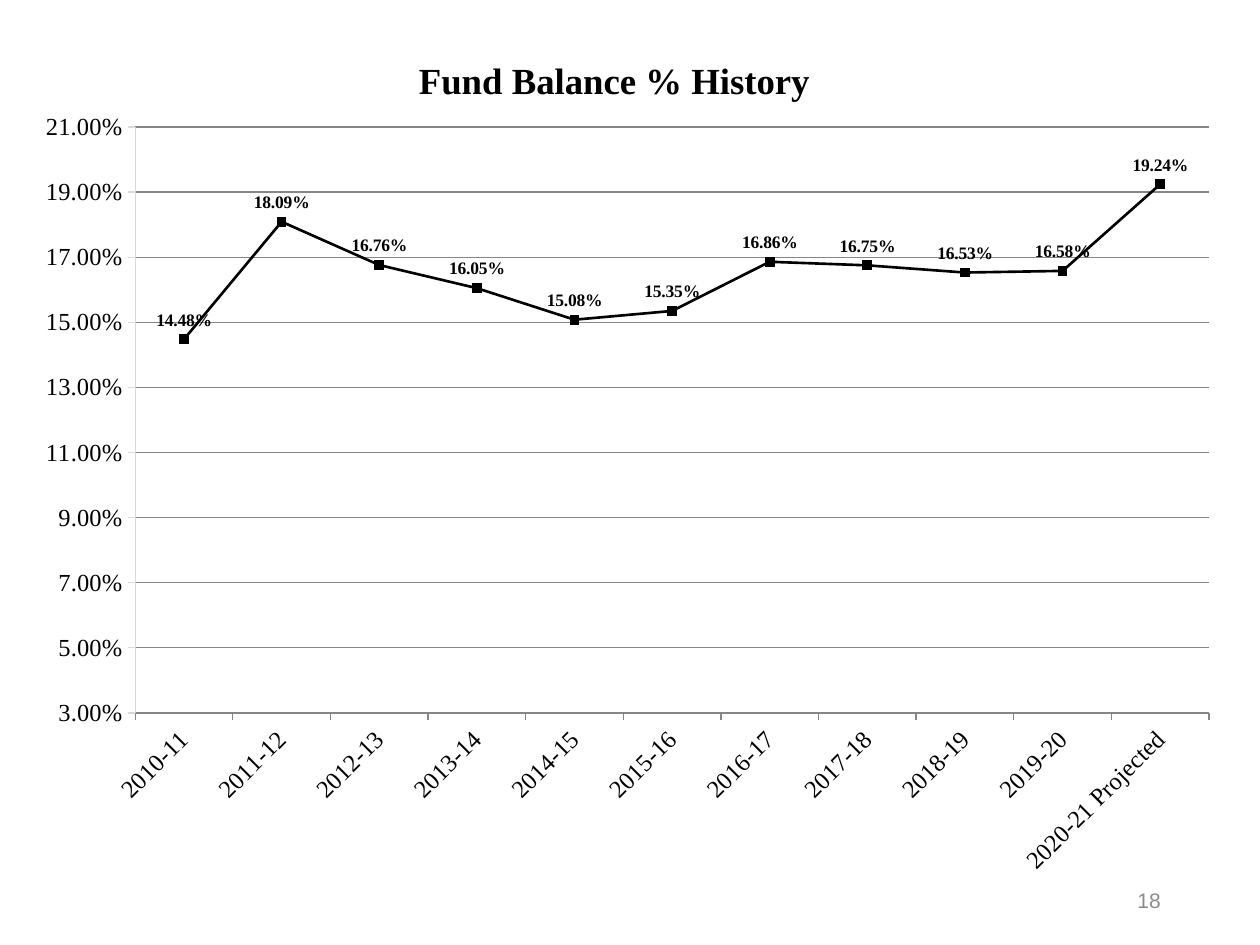
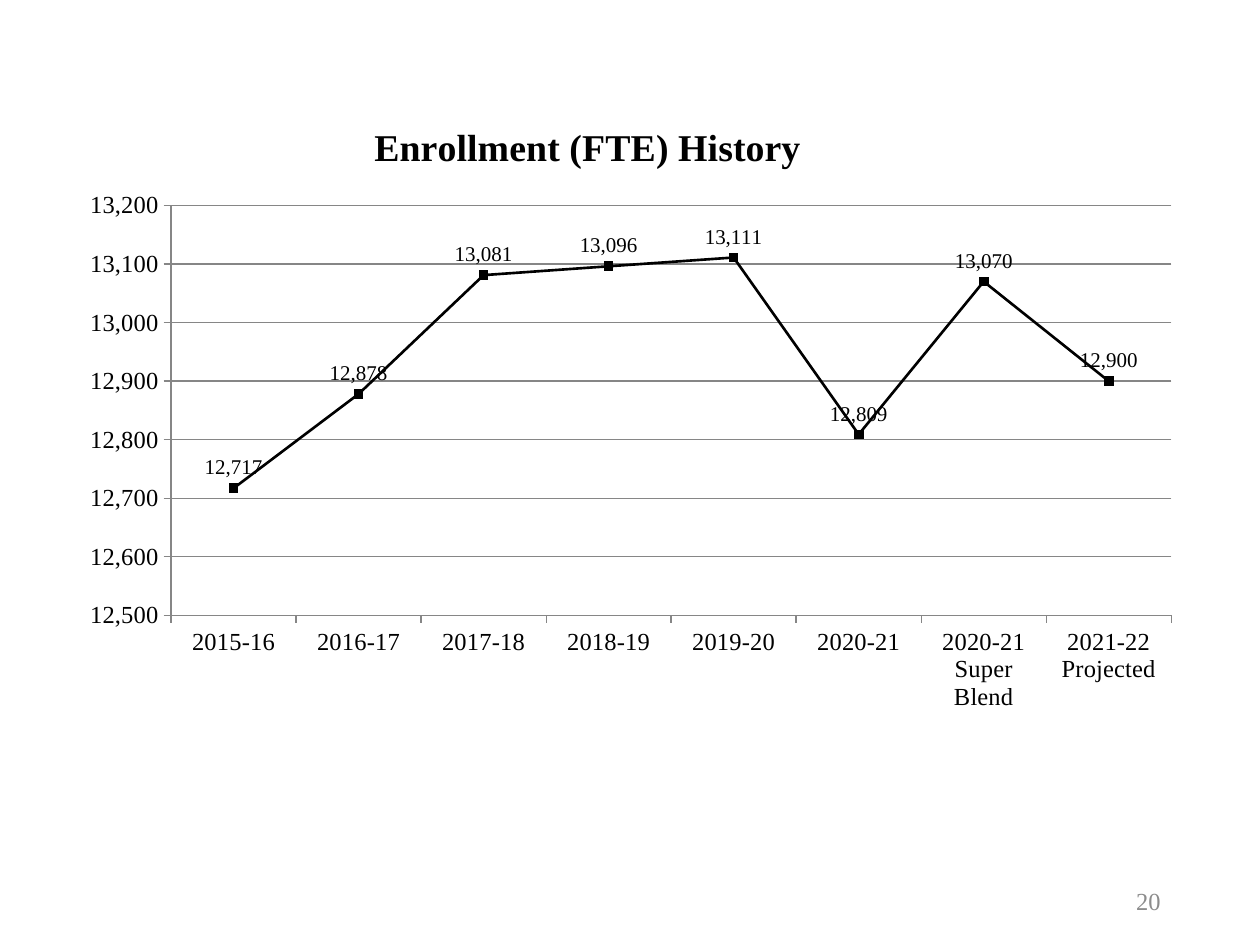
"""Builds two history slides, each with a titled line chart and a page number."""
from dataclasses import dataclass

from lxml.etree import SubElement
from pptx import Presentation
from pptx.chart.chart import Chart
from pptx.chart.data import CategoryChartData
from pptx.dml.color import RGBColor
from pptx.enum.chart import XL_CHART_TYPE as ChartType
from pptx.enum.chart import XL_LABEL_POSITION as LabelPosition
from pptx.enum.chart import XL_MARKER_STYLE as MarkerStyle
from pptx.enum.chart import XL_TICK_MARK as TickMark
from pptx.enum.text import MSO_ANCHOR as Anchor
from pptx.enum.text import PP_ALIGN as Align
from pptx.oxml.ns import qn
from pptx.slide import Slide
from pptx.text.text import Font
from pptx.util import Cm, Pt

BLACK = RGBColor(0x00, 0x00, 0x00)
PAGE_GRAY = RGBColor(0x8C, 0x8C, 0x8C)
GRID_GRAY = RGBColor(0x86, 0x86, 0x86)
PALE_GRAY = RGBColor(0xD9, 0xD9, 0xD9)
SERIF = "Times New Roman"
AXIS_SIZE = 14
BLANK_LAYOUT = 6


@dataclass(frozen=True)
class Box:
    """A position and size, in centimetres or as fractions of the chart."""

    left: float
    top: float
    width: float
    height: float


@dataclass(frozen=True)
class ValueScale:
    """Range, step, number format and line colour of the value axis."""

    minimum: float
    maximum: float
    step: float
    number_format: str
    line_color: RGBColor


@dataclass(frozen=True)
class HistorySlide:
    """One yearly history with its chart and page number settings."""

    title: str
    title_size: float
    chart_box: Box
    plot_box: Box
    scale: ValueScale
    history: dict[str, float]
    label_size: int
    label_bold: bool
    category_angle: int
    page_number: str
    page_size: int
    page_font: str


PAGE_BOX = Box(17.93, 17.65, 5.72, 1.01)

HISTORIES = (
    HistorySlide(
        title="Fund Balance % History",
        title_size=21,
        chart_box=Box(0, 0.53, 24.77, 17.98),
        plot_box=Box(0.11, 0.113, 0.874, 0.657),
        scale=ValueScale(0.03, 0.21, 0.02, "0.00%", PALE_GRAY),
        history={
            "2010-11": 0.1448,
            "2011-12": 0.1809,
            "2012-13": 0.1676,
            "2013-14": 0.1605,
            "2014-15": 0.1508,
            "2015-16": 0.1535,
            "2016-17": 0.1686,
            "2017-18": 0.1675,
            "2018-19": 0.1653,
            "2019-20": 0.1658,
            "2020-21 Projected": 0.1924,
        },
        label_size=10,
        label_bold=True,
        category_angle=-45,
        page_number="18",
        page_size=12,
        page_font="Arial",
    ),
    HistorySlide(
        title="Enrollment (FTE) History",
        title_size=21.6,
        chart_box=Box(-0.43, 1.91, 24.56, 14.4),
        plot_box=Box(0.158, 0.155, 0.821, 0.574),
        scale=ValueScale(12500, 13200, 100, "#,##0", GRID_GRAY),
        history={
            "2015-16": 12717,
            "2016-17": 12878,
            "2017-18": 13081,
            "2018-19": 13096,
            "2019-20": 13111,
            "2020-21": 12809,
            "2020-21 Super Blend": 13070,
            "2021-22 Projected": 12900,
        },
        label_size=12,
        label_bold=False,
        category_angle=0,
        page_number="20",
        page_size=14,
        page_font=SERIF,
    ),
)


def lengths(box: Box) -> tuple[Cm, Cm, Cm, Cm]:
    """Return the four measures of a box as lengths."""
    return Cm(box.left), Cm(box.top), Cm(box.width), Cm(box.height)


def style_font(
    font: Font,
    size: float,
    name: str = SERIF,
    color: RGBColor = BLACK,
    bold: bool = False,
) -> None:
    """Apply size, typeface, colour and weight to a font."""
    font.size = Pt(size)
    font.name = name
    font.bold = bold
    font.color.rgb = color


def add_page_number(slide: Slide, item: HistorySlide) -> None:
    """Write the page number at the lower right."""
    text_frame = slide.shapes.add_textbox(*lengths(PAGE_BOX)).text_frame
    text_frame.word_wrap = True
    text_frame.vertical_anchor = Anchor.MIDDLE
    paragraph = text_frame.paragraphs[0]
    paragraph.alignment = Align.RIGHT
    run = paragraph.add_run()
    run.text = item.page_number
    style_font(run.font, item.page_size, item.page_font, PAGE_GRAY)


def place_plot(chart: Chart, box: Box) -> None:
    """Fix the inner plot area inside the chart."""
    plot_area = chart.element.xpath("c:chart/c:plotArea")[0]
    for old_layout in plot_area.findall(qn("c:layout")):
        plot_area.remove(old_layout)
    layout = SubElement(plot_area, qn("c:layout"))
    plot_area.insert(0, layout)
    manual = SubElement(layout, qn("c:manualLayout"))
    settings = {
        "layoutTarget": "inner",
        "xMode": "edge",
        "yMode": "edge",
        "x": box.left,
        "y": box.top,
        "w": box.width,
        "h": box.height,
    }
    for tag, value in settings.items():
        SubElement(manual, qn(f"c:{tag}")).set("val", str(value))


def style_axes(chart: Chart, scale: ValueScale, category_angle: int) -> None:
    """Format both axes, the gridlines and the tick labels."""
    categories, values = chart.category_axis, chart.value_axis
    for axis, color in ((categories, GRID_GRAY), (values, scale.line_color)):
        axis.major_tick_mark = TickMark.OUTSIDE
        axis.minor_tick_mark = TickMark.NONE
        axis.format.line.color.rgb = color
        axis.format.line.width = Pt(0.75)
        style_font(axis.tick_labels.font, AXIS_SIZE)
    categories.has_major_gridlines = False
    body = chart.element.xpath("//c:catAx/c:txPr/a:bodyPr")[0]
    body.set("rot", str(category_angle * 60000))
    body.set("vert", "horz")

    values.minimum_scale = scale.minimum
    values.maximum_scale = scale.maximum
    values.major_unit = scale.step
    values.tick_labels.number_format = scale.number_format
    values.tick_labels.number_format_is_linked = False
    values.has_major_gridlines = True
    grid_line = values.major_gridlines.format.line
    grid_line.color.rgb = GRID_GRAY
    grid_line.width = Pt(0.75)


def style_series(chart: Chart, item: HistorySlide) -> None:
    """Format the line, its markers and its value labels."""
    plot = chart.plots[0]
    plot.vary_by_categories = False
    series = plot.series[0]
    series.smooth = False
    series.format.line.color.rgb = BLACK
    series.format.line.width = Pt(1.5)
    marker = series.marker
    marker.style = MarkerStyle.SQUARE
    marker.size = 5
    marker.format.fill.solid()
    marker.format.fill.fore_color.rgb = BLACK
    marker.format.line.color.rgb = BLACK

    labels = series.data_labels
    labels.show_value = True
    labels.position = LabelPosition.ABOVE
    labels.number_format = item.scale.number_format
    labels.number_format_is_linked = False
    style_font(labels.font, item.label_size, bold=item.label_bold)


def add_history_chart(slide: Slide, item: HistorySlide) -> None:
    """Add the titled line chart."""
    data = CategoryChartData(number_format=item.scale.number_format)
    data.categories = list(item.history)
    data.add_series("Series 1", list(item.history.values()))
    chart = slide.shapes.add_chart(
        ChartType.LINE_MARKERS, *lengths(item.chart_box), data
    ).chart
    style_font(chart.font, 18, "Calibri")
    chart.has_legend = False
    chart.has_title = True
    run = chart.chart_title.text_frame.paragraphs[0].add_run()
    run.text = item.title
    style_font(run.font, item.title_size, bold=True)
    place_plot(chart, item.plot_box)
    style_axes(chart, item.scale, item.category_angle)
    style_series(chart, item)


def main() -> None:
    """Build and save the presentation."""
    presentation = Presentation()
    presentation.slide_width = Cm(25.4)
    presentation.slide_height = Cm(19.05)
    for item in HISTORIES:
        slide = presentation.slides.add_slide(
            presentation.slide_layouts[BLANK_LAYOUT]
        )
        add_page_number(slide, item)
        add_history_chart(slide, item)
    presentation.save("out.pptx")


if __name__ == "__main__":
    main()
